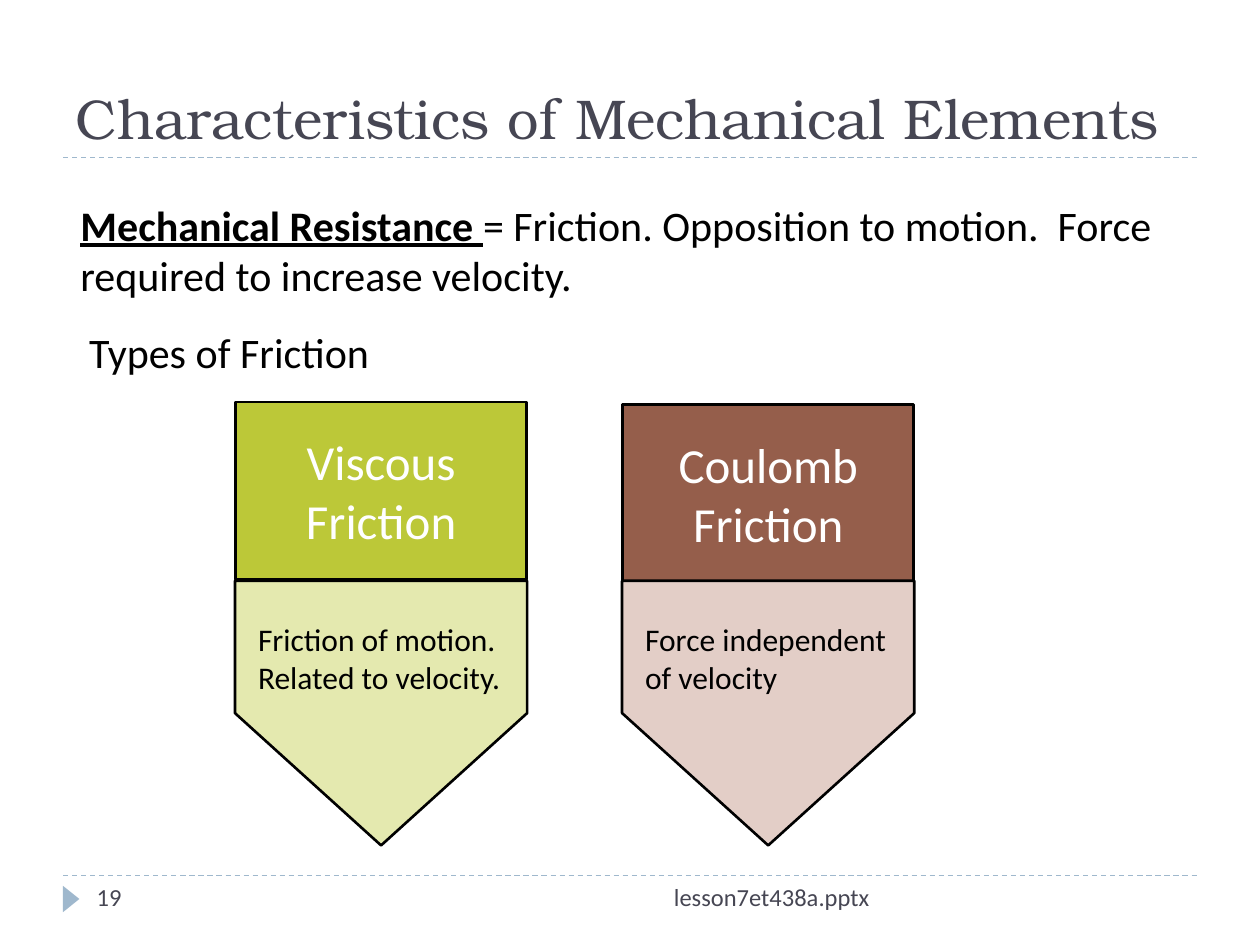
from lxml.etree import SubElement
from pptx import Presentation
from pptx.dml.color import RGBColor
from pptx.enum.dml import MSO_LINE
from pptx.enum.shapes import MSO_CONNECTOR, MSO_SHAPE
from pptx.enum.text import MSO_ANCHOR, MSO_AUTO_SIZE, PP_ALIGN
from pptx.oxml.ns import qn
from pptx.util import Pt

THEME = {
    "heading": "TeX Gyre Bonum", "body": "Calibri",
    "ink": "000000", "muted": "464653", "accent": "9FB8CD", "white": "FFFFFF",
    "title_size": 32, "card_size": 28, "body_size": 24, "detail_size": 18, "footer_size": 14,
}

TITLE = "Characteristics of Mechanical Elements"
DEFINITION = [("Mechanical Resistance ", True),
              ("= Friction. Opposition to motion.  Force required to increase velocity.", False)]
TYPES_HEADING = "Types of Friction"
FRICTIONS = [
    {"name": "Viscous Friction", "details": ["Friction of motion. Related to velocity."],
     "dark": "BCC838", "light": "E4E9AF", "top": 229.7},
    {"name": "Coulomb Friction", "details": ["Force independent", "of velocity"],
     "dark": "955E4B", "light": "E3CEC7", "top": 231.1},
]
FOOTER = "lesson7et438a.pptx"
PAGE = "19"

RULES_Y = (90, 500.4)
CARD_LEFT, CARD_PITCH, CARD_WIDTH, CARD_HEIGHT = 134.6, 221.2, 166.3, 101.5
PLATE_TOP, PLATE_LENGTH, PLATE_WIDTH = 331.9, 151.2, 167
DETAIL_TOP, DETAIL_WIDTH, DETAIL_HEIGHT = 350.6, 154.8, 51.1


def color(key):
    return RGBColor.from_string(THEME.get(key, key))


def write(frame, paragraphs, size, ink="ink", font="body", align=PP_ALIGN.LEFT,
          anchor=MSO_ANCHOR.TOP, wrap=True, fit=MSO_AUTO_SIZE.NONE):
    settings = {"word_wrap": wrap, "auto_size": fit, "vertical_anchor": anchor}
    for key, value in settings.items():
        setattr(frame, key, value)
    for index, runs in enumerate(paragraphs):
        paragraph = frame.add_paragraph() if index else frame.paragraphs[0]
        paragraph.alignment = align
        for text, strong in runs:
            run = paragraph.add_run()
            run.text = text
            style = {"name": THEME[font], "size": Pt(THEME[size]), "bold": strong, "underline": strong}
            for key, value in style.items():
                setattr(run.font, key, value)
            run.font.color.rgb = color(ink)


def plain(*lines):
    return [[(line, False)] for line in lines]


def add_text(slide, box, paragraphs, size, **options):
    frame = slide.shapes.add_textbox(*map(Pt, box)).text_frame
    write(frame, paragraphs, size, **options)


def add_block(slide, kind, box, fill, outline=True, rotation=0):
    block = slide.shapes.add_shape(kind, *map(Pt, box))
    block.shadow.inherit = False
    block.rotation = rotation
    block.fill.solid()
    block.fill.fore_color.rgb = color(fill)
    if outline:
        block.line.color.rgb = color("ink")
        block.line.width = Pt(1.5)
    else:
        block.line.fill.background()
    return block


def add_rule(slide, y):
    rule = slide.shapes.add_connector(MSO_CONNECTOR.STRAIGHT, Pt(36), Pt(y), Pt(684), Pt(y))
    rule.line.color.rgb = color("accent")
    rule.line.width = Pt(0.75)
    rule.line.dash_style = MSO_LINE.DASH
    SubElement(rule.line._get_or_add_ln().getparent(), qn("a:effectLst"))


def add_friction(slide, index, friction):
    left = CARD_LEFT + index * CARD_PITCH
    center = left + CARD_WIDTH / 2
    card = add_block(slide, MSO_SHAPE.RECTANGLE, (left, friction["top"], CARD_WIDTH, CARD_HEIGHT),
                     friction["dark"])
    write(card.text_frame, plain(friction["name"]), "card_size", ink="white",
          align=PP_ALIGN.CENTER, anchor=MSO_ANCHOR.MIDDLE)
    plate_y = PLATE_TOP + (PLATE_LENGTH - PLATE_WIDTH) / 2
    add_block(slide, MSO_SHAPE.PENTAGON,
              (center - PLATE_LENGTH / 2, plate_y, PLATE_LENGTH, PLATE_WIDTH),
              friction["light"], rotation=90)
    add_text(slide, (center - DETAIL_WIDTH / 2, DETAIL_TOP, DETAIL_WIDTH, DETAIL_HEIGHT),
             plain(*friction["details"]), "detail_size", fit=MSO_AUTO_SIZE.SHAPE_TO_FIT_TEXT)


def main():
    deck = Presentation()
    deck.slide_width, deck.slide_height = Pt(720), Pt(540)
    slide = deck.slides.add_slide(deck.slide_layouts[5])

    for y in RULES_Y:
        add_rule(slide, y)
    add_block(slide, MSO_SHAPE.ISOSCELES_TRIANGLE, (33.1, 509, 15.1, 9.4), "accent",
              outline=False, rotation=90)

    title = slide.shapes.title
    title.left, title.top, title.width, title.height = map(Pt, (36, 18, 648, 72))
    write(title.text_frame, plain(TITLE), "title_size", ink="muted", font="heading",
          anchor=MSO_ANCHOR.BOTTOM)

    add_text(slide, (228.2, 500.4, 275.8, 28.8), plain(FOOTER), "footer_size", ink="muted",
             align=PP_ALIGN.RIGHT)
    add_text(slide, (48.2, 500.4, 156.2, 28.8), plain(PAGE), "footer_size", ink="muted")
    add_text(slide, (38.9, 110.2, 640.8, 65.5), [DEFINITION], "body_size",
             fit=MSO_AUTO_SIZE.SHAPE_TO_FIT_TEXT)
    add_text(slide, (43.9, 182.9, 178.6, 36), plain(TYPES_HEADING), "body_size", wrap=False,
             fit=MSO_AUTO_SIZE.SHAPE_TO_FIT_TEXT)

    for index, friction in enumerate(FRICTIONS):
        add_friction(slide, index, friction)

    deck.save("out.pptx")


if __name__ == "__main__":
    main()
